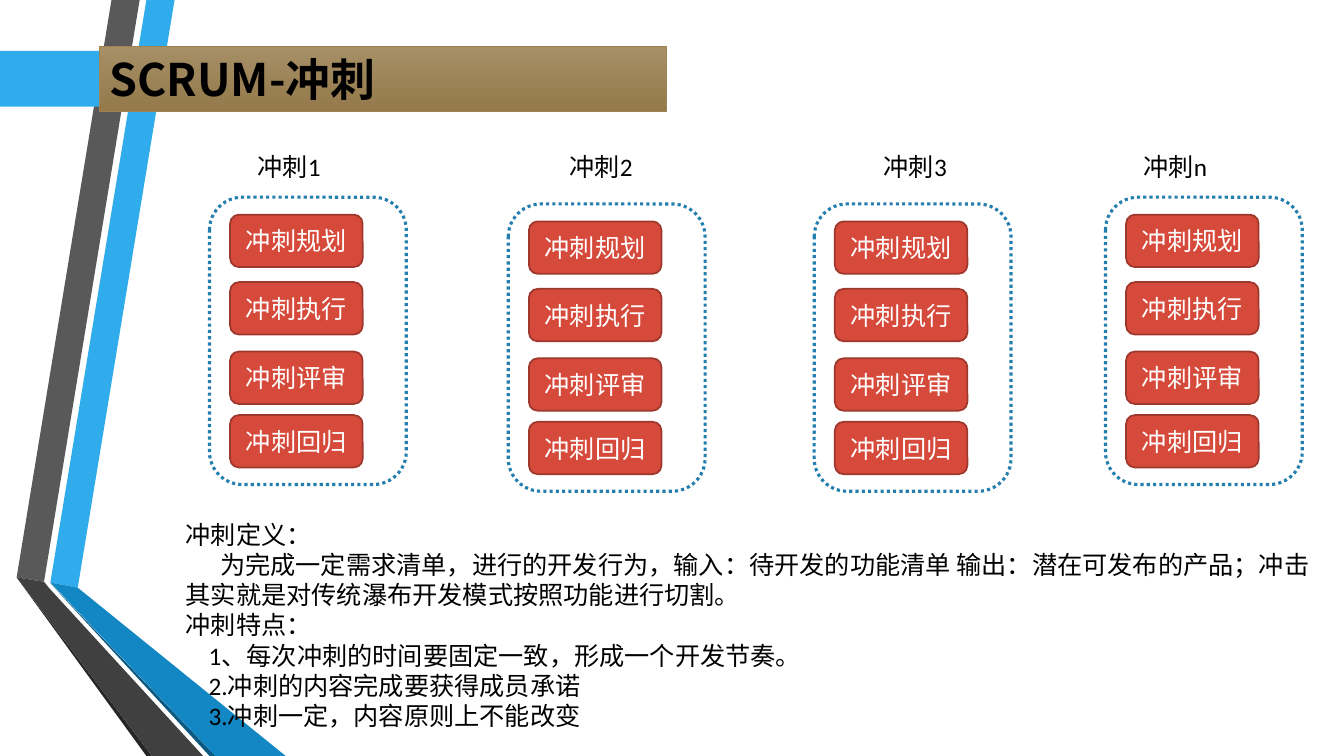
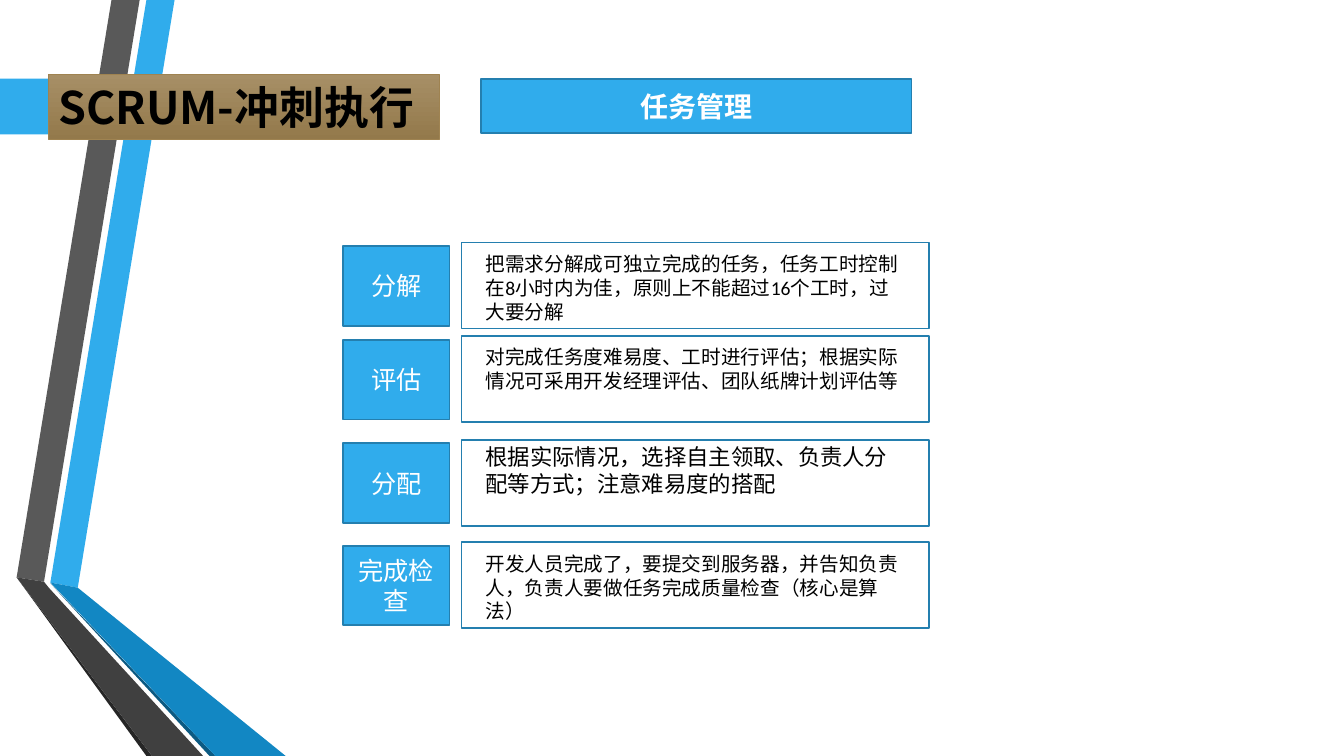
from lxml.etree import SubElement
from pptx import Presentation
from pptx.dml.color import RGBColor
from pptx.enum.dml import MSO_LINE
from pptx.enum.shapes import MSO_SHAPE
from pptx.enum.text import MSO_ANCHOR, PP_ALIGN
from pptx.oxml.ns import qn
from pptx.util import Cm, Pt

WIDE, HIGH = 33.87, 19.05
BLUE, EDGE, RED, RUST = "30ACEC", "247FAF", "D64A3B", "9E372C"
BLACK, WHITE = "000000", "FFFFFF"
SANS, HAN = "Calibri", "Noto Sans CJK SC"

RIBBON = [
    (BLUE, [(1.27, 14.68), (1.96, 14.81), (4.4, 0), (3.69, 0)]),
    ("595959", [(3.52, 0), (2.81, 0), (0.42, 14.55), (1.11, 14.66)]),
    ("262626", [(0.42, 14.55), (3.69, HIGH), (3.83, HIGH)]),
    ("0C5A82", [(1.27, 14.7), (5.28, HIGH), (5.43, HIGH)]),
    ("1287C3", [(1.27, 14.68), (5.43, HIGH), (7.2, HIGH), (1.96, 14.81)]),
    ("404040", [(0.42, 14.55), (3.83, HIGH), (5.12, HIGH), (1.23, 14.81),
                (1.11, 14.66)]),
]

# label, label left, frame left, frame top
SPRINTS = [
    ("冲刺1", 6.24, 5.28, 4.97),
    ("冲刺2", 14.1, 12.81, 5.14),
    ("冲刺3", 22.02, 20.52, 5.14),
    ("冲刺n", 28.57, 27.86, 4.97),
]
# step, distance below the frame top
STEPS = [("冲刺规划", 0.44), ("冲刺执行", 2.14), ("冲刺评审", 3.89), ("冲刺回归", 5.49)]
# text, left margin, first line indent
NOTES = [
    ("冲刺定义：", 0, 0),
    ("为完成一定需求清单，进行的开发行为，输入：待开发的功能清单 输出：潜在可发布的产品；"
     "冲击其实就是对传统瀑布开发模式按照功能进行切割。", 0, 0.87),
    ("冲刺特点：", 0, 0),
    ("1、每次冲刺的时间要固定一致，形成一个开发节奏。", 0.58, 0),
    ("2.冲刺的内容完成要获得成员承诺", 0.58, 0),
    ("3.冲刺一定，内容原则上不能改变", 0.58, 0),
]
# tag, text, frame top, top inset, size
TASKS = [
    ("分解", "把需求分解成可独立完成的任务，任务工时控制在8小时内为佳，原则上不能超过16个工时，过大要分解",
     6.11, 0.25, 14),
    ("评估", "对完成任务度难易度、工时进行评估；根据实际情况可采用开发经理评估、团队纸牌计划评估等",
     8.47, 0.23, 14),
    ("分配", "根据实际情况，选择自主领取、负责人分配等方式；注意难易度的搭配",
     11.08, 0.08, 16),
    ("完成检查", "开发人员完成了，要提交到服务器，并告知负责人，负责人要做任务完成质量检查（核心是算法）",
     13.66, 0.25, 14),
]

PLAIN = {"name": SANS, "size": Pt(18), "bold": False}
HEAD = {"name": HAN, "size": Pt(32), "bold": True}
MID = {"vertical_anchor": MSO_ANCHOR.MIDDLE}


def tint(code):
    return RGBColor.from_string(code)


def apply(item, style):
    for key, value in style.items():
        setattr(item, key, value)


def paint(shape, fill=None, line=None, width=1.25):
    shape.shadow.inherit = False
    if fill:
        shape.fill.solid()
        shape.fill.fore_color.rgb = tint(fill)
    else:
        shape.fill.background()
    if line:
        shape.line.color.rgb = tint(line)
        shape.line.width = Pt(width)
    else:
        shape.line.fill.background()


def write(para, text, style, color=BLACK, align=PP_ALIGN.LEFT):
    para.alignment = align
    run = para.add_run()
    run.text = text
    apply(run.font, PLAIN | style)
    run.font.color.rgb = tint(color)
    props = run._r.get_or_add_rPr()
    props.set("lang", "zh-CN")
    SubElement(props, qn("a:ea"), typeface=HAN)


def block(slide, kind, spot, **look):
    shape = slide.shapes.add_shape(kind, *map(Cm, spot))
    paint(shape, **look)
    return shape


def label(shape, text, style={}, color=WHITE, align=PP_ALIGN.CENTER, frame=MID):
    body = shape.text_frame
    body.word_wrap = True
    apply(body, frame)
    write(body.paragraphs[0], text, style, color, align)


def textbox(slide, spot):
    body = slide.shapes.add_textbox(*map(Cm, spot)).text_frame
    body.word_wrap = True
    return body


def ribbon(slide, layout):
    """Draw the folded ribbon, then move it into the shared layout."""
    for hold in list(layout.placeholders):
        layout.shapes.element.remove(hold.element)
    for color, points in RIBBON:
        first, *rest = [(Cm(x), Cm(y)) for x, y in points]
        pen = slide.shapes.build_freeform(*first)
        pen.add_line_segments(rest)
        shape = pen.convert_to_shape()
        paint(shape, color)
        layout.shapes.element.append(shape.element)


def heading(slide, text, left, top, width, tab):
    """Place the gold title bar over a blue tab that starts at the slide edge."""
    arrow = block(slide, MSO_SHAPE.PENTAGON, (0, top + 0.1, tab, 1.41), fill=BLUE)
    arrow.adjustments[0] = 0.45
    bar = block(slide, MSO_SHAPE.RECTANGLE, (left, top, width, 1.63),
                line="9F8351", width=0.75)
    bar.fill.gradient()
    bar.fill.gradient_angle = 270
    for stop, color in zip(bar.fill.gradient_stops, ("A78F66", "93794B")):
        stop.color.rgb = tint(color)
    label(bar, text, HEAD, BLACK, PP_ALIGN.LEFT,
          {"vertical_anchor": MSO_ANCHOR.TOP})


def sprints(slide):
    heading(slide, "SCRUM-冲刺", 2.51, 1.18, 14.28, 9.65)
    for name, x, left, top in SPRINTS:
        write(textbox(slide, (x, 3.68, 4.25, 1.03)).paragraphs[0], name, {})
        ring = block(slide, MSO_SHAPE.ROUNDED_RECTANGLE, (left, top, 4.96, 7.24),
                     line=EDGE, width=2.25)
        ring.line.dash_style = MSO_LINE.ROUND_DOT
        for step, down in STEPS:
            card = block(slide, MSO_SHAPE.ROUNDED_RECTANGLE,
                         (left + 0.52, top + down, 3.34, 1.32), fill=RED, line=RUST)
            label(card, step)
    body = textbox(slide, (4.43, 12.95, 28.88, 5.64))
    for i, (text, margin, indent) in enumerate(NOTES):
        para = body.add_paragraph() if i else body.paragraphs[0]
        props = para._p.get_or_add_pPr()
        props.set("marL", str(Cm(margin)))
        props.set("indent", str(Cm(indent)))
        write(para, text, {})


def tasks(slide):
    heading(slide, "SCRUM-冲刺执行", 1.22, 1.88, 9.85, 4.4)
    topic = block(slide, MSO_SHAPE.RECTANGLE, (12.12, 1.99, 10.85, 1.37),
                  fill=BLUE, line=EDGE)
    label(topic, "任务管理", {"size": Pt(20), "bold": True})
    for name, text, top, inset, size in TASKS:
        tag = block(slide, MSO_SHAPE.RECTANGLE, (8.65, top + 0.09, 2.68, 2.01),
                    fill=BLUE, line=EDGE)
        label(tag, name)
        card = block(slide, MSO_SHAPE.RECTANGLE, (11.63, top, 11.79, 2.17), line=EDGE)
        label(card, text, {"size": Pt(size)}, BLACK, PP_ALIGN.LEFT,
              {"vertical_anchor": MSO_ANCHOR.TOP, "margin_left": Cm(0.61),
               "margin_right": Cm(0.71), "margin_top": Cm(inset),
               "margin_bottom": 0})


def main():
    deck = Presentation()
    deck.slide_width, deck.slide_height = Cm(WIDE), Cm(HIGH)
    blank = deck.slide_layouts[6]
    pages = [deck.slides.add_slide(blank) for _ in range(2)]
    ribbon(pages[0], blank)
    for draw, page in zip((sprints, tasks), pages):
        draw(page)
    deck.save("out.pptx")


if __name__ == "__main__":
    main()
